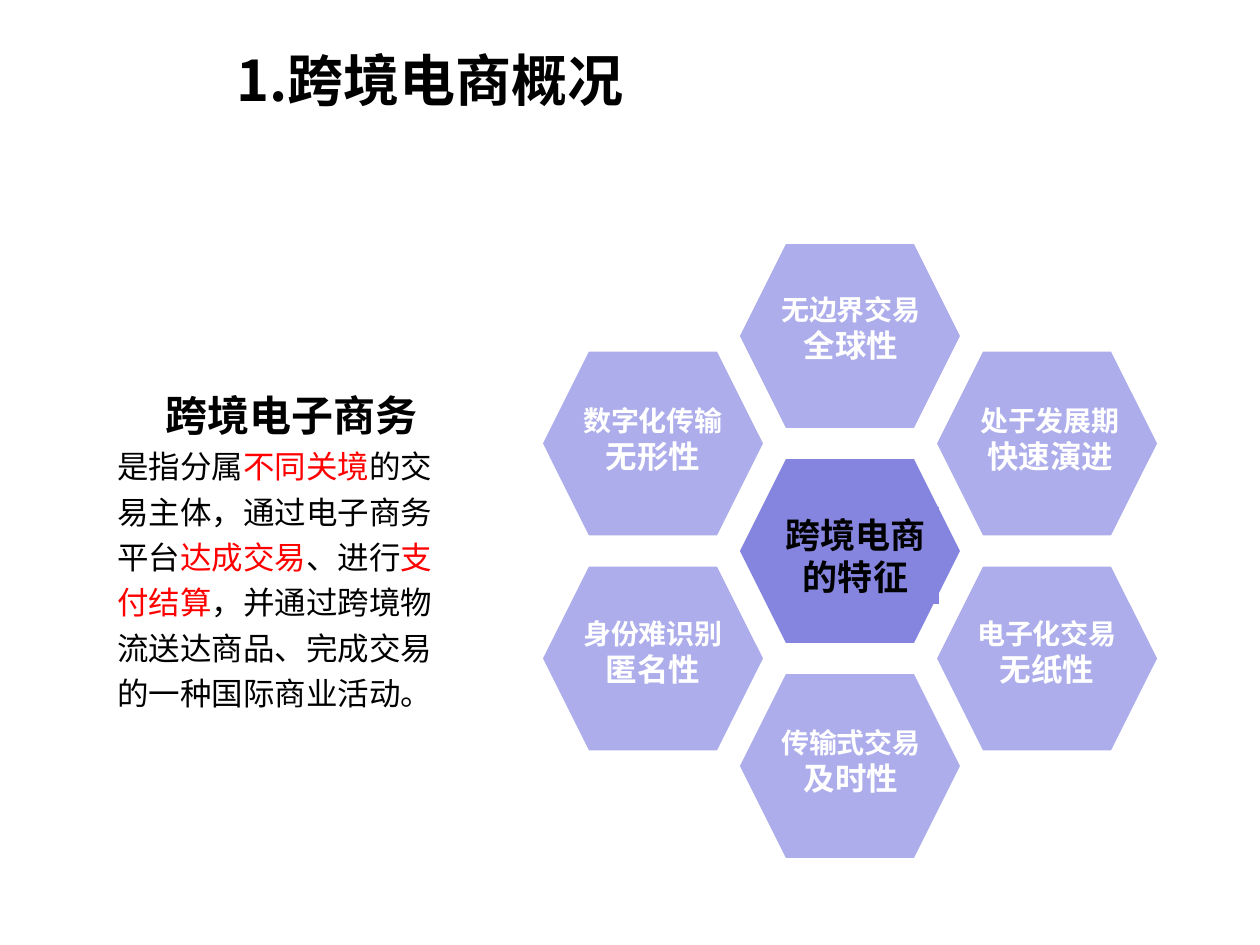
from dataclasses import dataclass

from lxml import etree
from pptx import Presentation
from pptx.dml.color import RGBColor
from pptx.enum import shapes, text
from pptx.oxml import ns
from pptx.util import Pt

EMU_PER_PX = 914400 / 126
FONT = "Noto Sans CJK SC"
BLACK, WHITE, RED = "000000", "FFFFFF", "FF0000"
LILAC, VIOLET = "ADADEB", "8585E0"
HEX_WIDTH, HEX_HEIGHT = 220, 184
GRID_LEFT, GRID_TOP = 543, 244
COLUMN_STEP, ROW_STEP = 197, 107.5


@dataclass
class Feature:
    column: int
    row: int
    label_left: int
    label_top: int
    cause: str
    trait: str


FEATURES = [
    Feature(1, 0, 736, 286, "无边界交易", "全球性"),
    Feature(0, 1, 538, 397, "数字化传输", "无形性"),
    Feature(2, 1, 935, 397, "处于发展期", "快速演进"),
    Feature(0, 3, 538, 610, "身份难识别", "匿名性"),
    Feature(2, 3, 932, 610, "电子化交易", "无纸性"),
    Feature(1, 4, 736, 719, "传输式交易", "及时性"),
]

DEFINITION = [
    ("是指分属", BLACK),
    ("不同关境", RED),
    ("的交易主体，通过电子商务平台", BLACK),
    ("达成交易", RED),
    ("、进行", BLACK),
    ("支付结算", RED),
    ("，并通过跨境物流送达商品、完成交易的一种国际商业活动。", BLACK),
]


def px(value: float) -> int:
    return round(value * EMU_PER_PX)


def rgb(color: str) -> RGBColor:
    return RGBColor.from_string(color)


def format_paragraph(para, size: int, color: str, bold: bool, align) -> None:
    para.alignment = align
    font = para.font
    font.size, font.bold, font.name = Pt(size), bold, FONT
    font.color.rgb = rgb(color)
    properties = para._p.pPr.find(ns.qn("a:defRPr"))
    latin = properties.find(ns.qn("a:latin"))
    east_asian = etree.Element(ns.qn("a:ea"), typeface=FONT)
    latin.addnext(east_asian)


def add_text_box(page, left: int, top: int, width: int, height: int):
    box = page.shapes.add_textbox(px(left), px(top), px(width), px(height))
    box.text_frame.word_wrap = True
    return box.text_frame


def add_filled(page, kind, left: float, top: float, width: int, height: int, color: str):
    shape = page.shapes.add_shape(kind, px(left), px(top), px(width), px(height))
    shape.shadow.inherit = False
    shape.fill.solid()
    shape.fill.fore_color.rgb = rgb(color)
    shape.line.fill.background()
    return shape


def add_hexagon(page, column: int, row: int, color: str) -> None:
    left = GRID_LEFT + column * COLUMN_STEP
    top = GRID_TOP + row * ROW_STEP
    add_filled(page, shapes.MSO_SHAPE.HEXAGON, left, top, HEX_WIDTH, HEX_HEIGHT, color)


def add_label(page, feature: Feature) -> None:
    frame = add_text_box(page, feature.label_left, feature.label_top, 230, 84)
    cause, trait = frame.paragraphs[0], frame.add_paragraph()
    for para, words, size in ((cause, feature.cause, 16), (trait, feature.trait, 18)):
        para.text = words
        format_paragraph(para, size, WHITE, True, text.PP_ALIGN.CENTER)


def add_title(page) -> None:
    title = page.shapes.title
    title.left, title.top, title.width, title.height = px(224), px(16), px(932), px(127)
    frame = title.text_frame
    frame.auto_size = text.MSO_AUTO_SIZE.NONE
    frame.vertical_anchor = text.MSO_ANCHOR.MIDDLE
    frame.text = "1.跨境电商概况"
    format_paragraph(frame.paragraphs[0], 32, BLACK, True, text.PP_ALIGN.LEFT)


def add_definition(page) -> None:
    frame = add_text_box(page, 105, 373, 357, 349)
    heading, body = frame.paragraphs[0], frame.add_paragraph()
    heading.text = "跨境电子商务"
    heading._p.get_or_add_pPr().set("indent", str(px(48)))
    for words, color in DEFINITION:
        span = body.add_run()
        span.text = words
        span.font.color.rgb = rgb(color)
    for para, size, bold in ((heading, 24, True), (body, 18, False)):
        para.line_spacing = 1.2
        format_paragraph(para, size, BLACK, bold, text.PP_ALIGN.LEFT)


def add_center(page) -> None:
    add_hexagon(page, 1, 2, VIOLET)
    box = add_filled(page, shapes.MSO_SHAPE.RECTANGLE, 772, 507, 167, 97, VIOLET)
    frame = box.text_frame
    frame.word_wrap = True
    frame.vertical_anchor = text.MSO_ANCHOR.TOP
    frame.text = "跨境电商的特征"
    format_paragraph(frame.paragraphs[0], 20, BLACK, True, text.PP_ALIGN.CENTER)


def main() -> None:
    deck = Presentation()
    deck.slide_width, deck.slide_height = px(1260), px(945)
    page = deck.slides.add_slide(deck.slide_layouts[5])
    add_title(page)
    add_definition(page)
    for feature in FEATURES:
        add_hexagon(page, feature.column, feature.row, LILAC)
    add_center(page)
    for feature in FEATURES:
        add_label(page, feature)
    deck.save("out.pptx")


if __name__ == "__main__":
    main()
